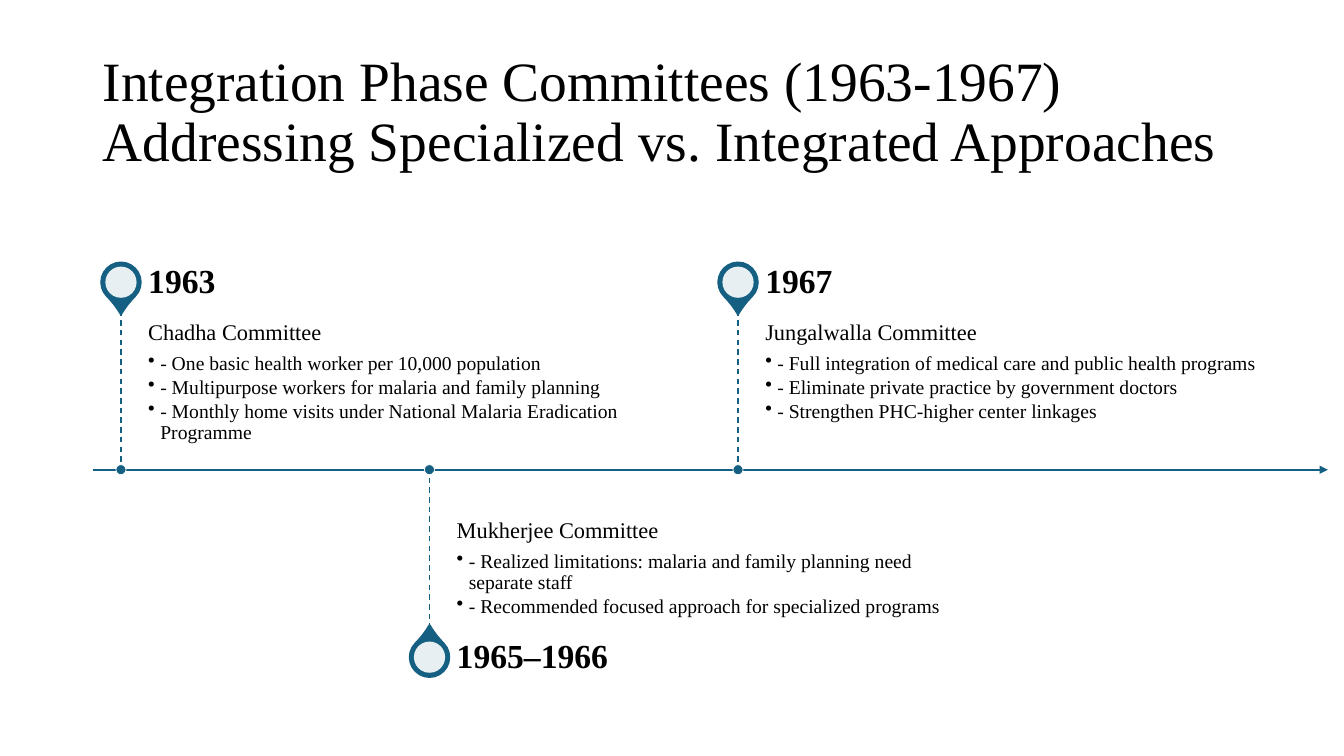
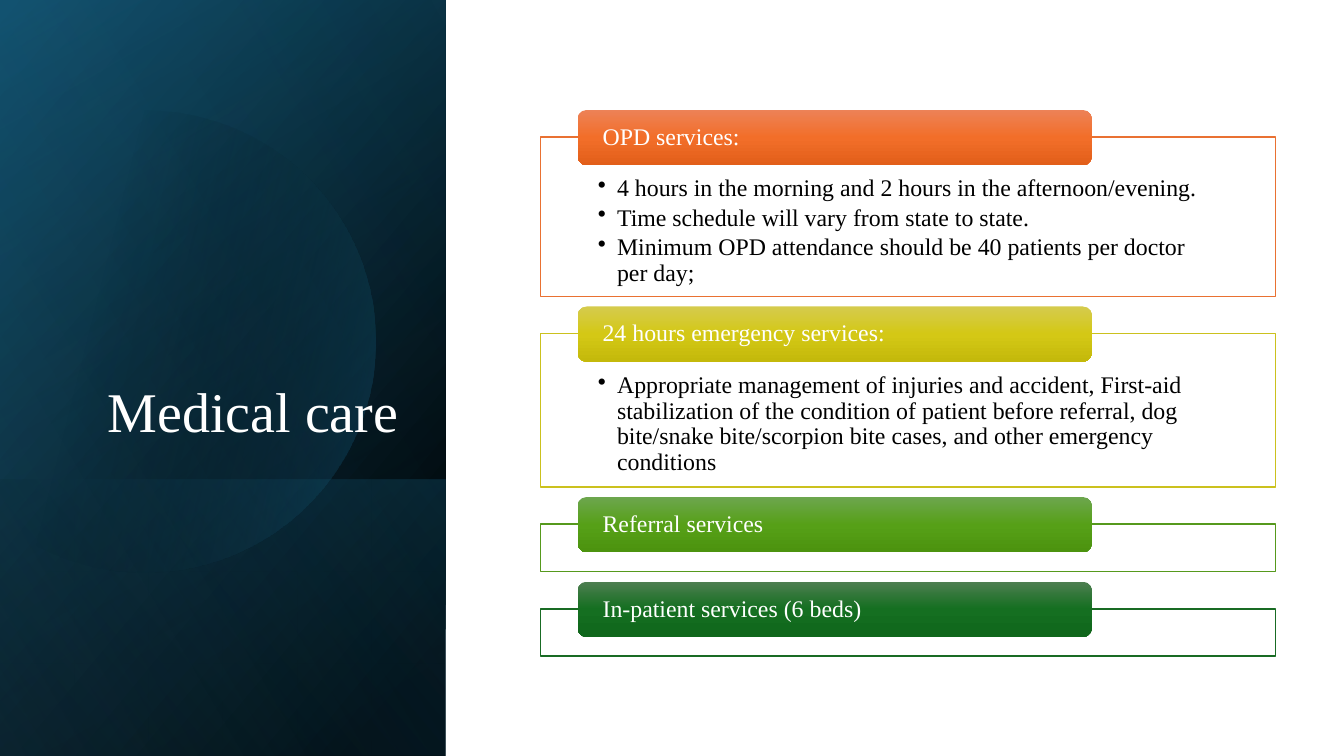
import math
from dataclasses import dataclass
from typing import Any, Optional

import pptx
import pptx.dml.color
import pptx.enum.dml
import pptx.enum.shapes
import pptx.enum.text
import pptx.oxml
import pptx.oxml.ns
import pptx.util

Inches = pptx.util.Inches
Pt = pptx.util.Pt
Shapes = pptx.enum.shapes.MSO_SHAPE
Anchor = pptx.enum.text.MSO_ANCHOR
Align = pptx.enum.text.PP_ALIGN
Box = tuple[float, float, float, float]


@dataclass(frozen=True)
class Theme:
    font: str = "Times New Roman"
    accent: str = "156082"
    sky: str = "46B1E1"
    deep: str = "104862"
    black: str = "000000"
    white: str = "FFFFFF"
    title: float = 40
    long_title: float = 39.6
    year: float = 24
    heading: float = 16
    detail: float = 14
    service: float = 17


THEME = Theme()


@dataclass(frozen=True)
class TextStyle:
    size: float
    color: str = THEME.black
    bold: bool = False
    align: Any = Align.LEFT
    after: float = 0  # share of the type size
    indent: float = 0  # hanging bullet indent in inches


@dataclass(frozen=True)
class Stop:
    position: int
    color: str
    opacity: int = 100


@dataclass(frozen=True)
class Panel:
    box: Box
    stops: tuple[Stop, ...]
    angle: float


@dataclass(frozen=True)
class Committee:
    year: str
    name: str
    points: tuple[str, ...]


@dataclass(frozen=True)
class Service:
    name: str
    outline: str
    tab_colors: tuple[str, str, str]
    height: float
    points: tuple[str, ...] = ()


COMMITTEES = (
    Committee("1963", "Chadha Committee", (
        "- One basic health worker per 10,000 population",
        "- Multipurpose workers for malaria and family planning",
        "- Monthly home visits under National Malaria Eradication Programme")),
    Committee("1965–1966", "Mukherjee Committee", (
        "- Realized limitations: malaria and family planning need separate staff",
        "- Recommended focused approach for specialized programs")),
    Committee("1967", "Jungalwalla Committee", (
        "- Full integration of medical care and public health programs",
        "- Eliminate private practice by government doctors",
        "- Strengthen PHC-higher center linkages")),
)

SERVICES = (
    Service("OPD services:", "E97132", ("ED8257", "F26E29", "E25F1A"), 1.58, (
        "4 hours in the morning and 2 hours in the afternoon/evening.",
        "Time schedule will vary from state to state.",
        "Minimum OPD attendance should be 40 patients per doctor per day;")),
    Service("24 hours emergency services:", "CBC11E", ("D5CB4E", "D4C815", "C4B90B"), 1.52, (
        "Appropriate management of injuries and accident, First-aid stabilization of the "
        "condition of patient before referral, dog bite/snake bite/scorpion bite cases, "
        "and other emergency conditions",)),
    Service("Referral services", "56991D", ("6DA64E", "56A017", "4C930F"), 0.47),
    Service("In-patient services (6 beds)", "196B24", ("4D7E50", "156F21", "0F661B"), 0.47),
)

FULL_PANEL: Box = (-1.54, 1.54, 7.5, 4.42)
BASE_PANELS = (
    Panel(FULL_PANEL, (Stop(8, THEME.black), Stop(100, THEME.deep)), 50),
    Panel(FULL_PANEL, (Stop(0, THEME.black, 0), Stop(99, THEME.accent, 46)), 30),
    Panel((0.84, 3.92, 2.74, 4.42),
          (Stop(2, THEME.accent, 29), Stop(100, THEME.black, 30)), 130),
)
SHEEN_PANEL = Panel(FULL_PANEL, (Stop(0, THEME.black, 0), Stop(99, THEME.sky, 11)), 120)


# Shared helpers
def rgb(color: str) -> Any:
    return pptx.dml.color.RGBColor.from_string(color)


def apply_format(target: Any, values: dict[str, Any]) -> None:
    for name, value in values.items():
        setattr(target, name, value)


def color_xml(color: str, opacity: int) -> str:
    return f'<a:srgbClr val="{color}"><a:alpha val="{opacity * 1000}"/></a:srgbClr>'


def replace_fill(shape: Any, xml: str) -> None:
    shape.fill.background()
    empty_fill = shape._element.spPr.find(pptx.oxml.ns.qn("a:noFill"))
    empty_fill.getparent().replace(empty_fill, pptx.oxml.parse_xml(xml))


def fill_solid(shape: Any, color: str, opacity: int = 100) -> None:
    replace_fill(shape, f'<a:solidFill {pptx.oxml.ns.nsdecls("a")}>'
                        f'{color_xml(color, opacity)}</a:solidFill>')


def fill_gradient(shape: Any, stops: tuple[Stop, ...], angle: float) -> None:
    stop_xml = "".join(f'<a:gs pos="{stop.position * 1000}">'
                       f'{color_xml(stop.color, stop.opacity)}</a:gs>' for stop in stops)
    replace_fill(shape, f'<a:gradFill {pptx.oxml.ns.nsdecls("a")} rotWithShape="1">'
                        f'<a:gsLst>{stop_xml}</a:gsLst>'
                        f'<a:lin ang="{round(angle * 60000)}" scaled="0"/></a:gradFill>')


def set_outline(shape: Any, color: Optional[str], width: float = 1) -> None:
    if color is None:
        shape.line.fill.background()
    else:
        shape.line.color.rgb = rgb(color)
        shape.line.width = Pt(width)


def add_shape(slide: Any, kind: Any, box: Box, outline: Optional[str] = None,
              width: float = 1) -> Any:
    shape = slide.shapes.add_shape(kind, *map(Inches, box))
    shape.shadow.inherit = False
    set_outline(shape, outline, width)
    return shape


def add_line(slide: Any, start: tuple[float, float], end: tuple[float, float],
             width: float) -> Any:
    line = slide.shapes.add_connector(pptx.enum.shapes.MSO_CONNECTOR.STRAIGHT,
                                      *map(Inches, start + end))
    set_outline(line, THEME.accent, width)
    line._element.spPr.append(
        pptx.oxml.parse_xml(f'<a:effectLst {pptx.oxml.ns.nsdecls("a")}/>'))
    return line


def write_text(shape: Any, lines: list[tuple[str, TextStyle]], anchor: Any = Anchor.TOP,
               insets: Box = (0.1, 0.05, 0.1, 0.05)) -> None:
    frame = shape.text_frame
    left, top, right, bottom = map(Inches, insets)
    apply_format(frame, {"word_wrap": True, "vertical_anchor": anchor, "margin_left": left,
                         "margin_top": top, "margin_right": right, "margin_bottom": bottom})
    for index, (text, style) in enumerate(lines):
        paragraph = frame.add_paragraph() if index else frame.paragraphs[0]
        apply_format(paragraph, {"alignment": style.align, "line_spacing": 0.9,
                                 "space_after": Pt(style.size * style.after)})
        if style.indent:
            properties = paragraph._p.get_or_add_pPr()
            properties.set("marL", str(Inches(style.indent)))
            properties.set("indent", str(-Inches(style.indent)))
            properties.append(pptx.oxml.parse_xml(
                f'<a:buChar {pptx.oxml.ns.nsdecls("a")} char="•"/>'))
        run = paragraph.add_run()
        run.text = text
        apply_format(run.font, {"name": THEME.font, "size": Pt(style.size),
                                "bold": style.bold})
        run.font.color.rgb = rgb(style.color)


def add_text(slide: Any, box: Box, lines: list[tuple[str, TextStyle]], anchor: Any,
             insets: Box = (0.1, 0.05, 0.1, 0.05)) -> None:
    write_text(slide.shapes.add_textbox(*map(Inches, box)), lines, anchor, insets)


def centered(x: float, y: float, size: float) -> Box:
    return x - size / 2, y - size / 2, size, size


# Timeline slide
AXIS_Y, STEM, LABEL_HEIGHT, TEXT_WIDTH = 4.66, 1.58, 0.56, 5.09


def add_committee(slide: Any, committee: Committee, x: float, above: bool) -> None:
    side = -1 if above else 1
    label_y = AXIS_Y + side * (STEM + LABEL_HEIGHT / 2)
    text_x = x + 0.27

    # Pin
    pin = add_shape(slide, Shapes.TEAR, centered(x, label_y, 0.39), THEME.accent, 1.5)
    pin.adjustments[0] = 1.15
    pin.rotation = 135 if above else 315
    fill_solid(pin, THEME.accent)
    fill_solid(add_shape(slide, Shapes.OVAL, centered(x, label_y, 0.31)), THEME.white, 90)

    # Wording
    heading = TextStyle(THEME.heading, after=0.35)
    detail = TextStyle(THEME.detail, after=0.15, indent=0.12)
    add_text(slide, (text_x, AXIS_Y - STEM if above else AXIS_Y, TEXT_WIDTH, STEM),
             [(committee.name, heading)] + [(point, detail) for point in committee.points],
             Anchor.TOP if above else Anchor.BOTTOM,
             (0, 0.11, 0.11, 0.17) if above else (0, 0.17, 0, 0.11))
    add_text(slide, (text_x, label_y - LABEL_HEIGHT / 2, TEXT_WIDTH, LABEL_HEIGHT),
             [(committee.year, TextStyle(THEME.year, bold=True, after=0.35))],
             Anchor.MIDDLE, (0, 0, 0.17, 0))

    # Stem and axis dot
    stem = add_line(slide, (x, AXIS_Y + side * STEM), (x, AXIS_Y), 1)
    stem.line.dash_style = pptx.enum.dml.MSO_LINE.DASH
    fill_solid(add_shape(slide, Shapes.OVAL, centered(x, AXIS_Y, 0.1), THEME.white, 0.5),
               THEME.accent)


def build_timeline(slide: Any) -> None:
    style = TextStyle(THEME.long_title)
    add_text(slide, (0.92, 0.4, 11.5, 1.45),
             [("Integration Phase Committees (1963-1967)", style),
              ("Addressing Specialized vs. Integrated Approaches", style)], Anchor.MIDDLE)
    axis = add_line(slide, (0.92, AXIS_Y), (13.17, AXIS_Y), 1.5)
    axis.line._get_or_add_ln().append(pptx.oxml.parse_xml(
        f'<a:tailEnd {pptx.oxml.ns.nsdecls("a")} type="triangle"/>'))
    for index, committee in enumerate(COMMITTEES):
        add_committee(slide, committee, 1.2 + 3.06 * index, index % 2 == 0)


# Medical care slide
def add_panel(slide: Any, panel: Panel) -> None:
    shape = add_shape(slide, Shapes.RECTANGLE, panel.box)
    shape.rotation = 90
    shape._element.spPr.xfrm.set("flipH", "1")
    fill_gradient(shape, panel.stops, panel.angle)


def add_disc(slide: Any) -> None:
    """Draw the disc cut off by the left edge of the slide."""
    center_x, center_y, radius, steps = 1.43, 3.39, 2.29, 120
    limit = math.acos(-center_x / radius)
    angles = [limit * (2 * step / steps - 1) for step in range(steps + 1)]
    points = [(Inches(center_x + radius * math.cos(angle)),
               Inches(center_y + radius * math.sin(angle))) for angle in angles]
    builder = slide.shapes.build_freeform(*points[0])
    builder.add_line_segments(points[1:], close=True)
    disc = builder.convert_to_shape()
    disc.shadow.inherit = False
    set_outline(disc, None)
    fill_gradient(disc, (Stop(29, THEME.black, 0), Stop(100, THEME.accent, 43)), 14)


def add_service(slide: Any, service: Service, top: float) -> None:
    frame = add_shape(slide, Shapes.RECTANGLE, (5.36, top, 7.29, service.height),
                      service.outline)
    fill_solid(frame, THEME.white, 90)
    if service.points:
        style = TextStyle(THEME.service, after=0.15, indent=0.19)
        write_text(frame, [(point, style) for point in service.points],
                   insets=(0.57, 0.39, 0.57, 0.13))
    tab = add_shape(slide, Shapes.ROUNDED_RECTANGLE, (5.73, top - 0.27, 5.1, 0.55))
    fill_gradient(tab, tuple(Stop(50 * index, color)
                             for index, color in enumerate(service.tab_colors)), 90)
    write_text(tab, [(service.name, TextStyle(THEME.service, THEME.white))],
               Anchor.MIDDLE, (0.22, 0, 0.22, 0))


def build_medical_care(slide: Any) -> None:
    for panel in BASE_PANELS:
        add_panel(slide, panel)
    add_disc(slide)
    add_panel(slide, SHEEN_PANEL)
    add_text(slide, (0.64, 1.84, 3.41, 2.62),
             [("Medical care", TextStyle(THEME.title, THEME.white, align=Align.RIGHT))],
             Anchor.BOTTOM)
    top = 1.36
    for service in SERVICES:
        add_service(slide, service, top)
        top += service.height + 0.37


def main() -> None:
    presentation = pptx.Presentation()
    apply_format(presentation, {"slide_width": Inches(13.33), "slide_height": Inches(7.5)})
    for build in (build_timeline, build_medical_care):
        build(presentation.slides.add_slide(presentation.slide_layouts[6]))
    presentation.save("out.pptx")


if __name__ == "__main__":
    main()
